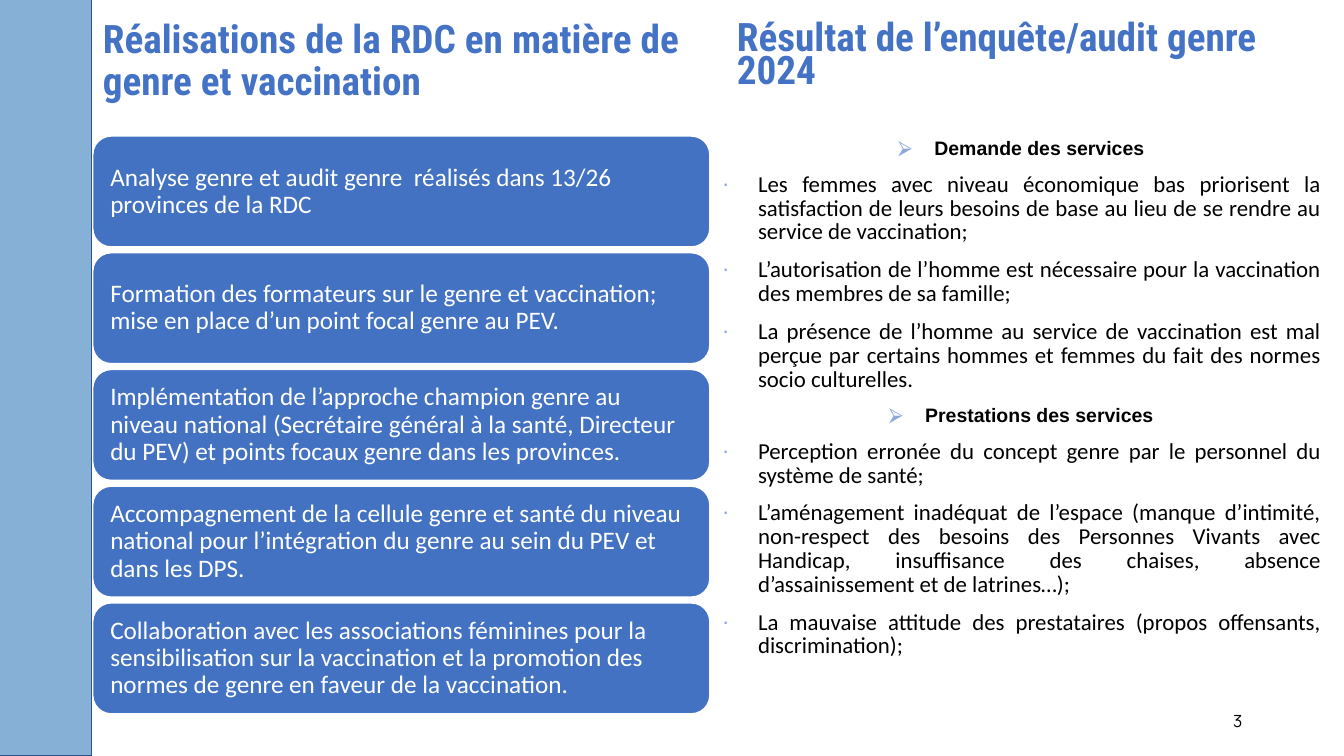
import pptx
import pptx.util
import pptx.dml.color
import pptx.enum.shapes
import pptx.enum.text
import lxml.etree
from dataclasses import dataclass
from pptx.oxml.ns import qn

ACHIEVEMENTS_HEADING = "Réalisations de la RDC en matière de genre et vaccination"
ACHIEVEMENTS = [
    "Analyse genre et audit genre  réalisés dans 13/26 provinces de la RDC",
    "Formation des formateurs sur le genre et vaccination; mise en place d’un point focal genre au PEV.",
    "Implémentation de l’approche champion genre au niveau national (Secrétaire général à la santé, Directeur du PEV) et points focaux genre dans les provinces.",
    "Accompagnement de la cellule genre et santé du niveau national pour l’intégration du genre au sein du PEV et dans les DPS.",
    "Collaboration avec les associations féminines pour la sensibilisation sur la vaccination et la promotion des normes de genre en faveur de la vaccination.",
]
SURVEY_HEADING = "Résultat de l’enquête/audit genre 2024"
SURVEY = {
    "Demande des services": [
        "Les femmes avec niveau économique bas priorisent la satisfaction de leurs besoins de base au lieu de se rendre au service de vaccination;",
        "L’autorisation de l’homme est nécessaire pour la vaccination des membres de sa famille;",
        "La présence de l’homme au service de vaccination est mal perçue par certains hommes et femmes du fait des normes socio culturelles.",
    ],
    "Prestations des services": [
        "Perception erronée du concept genre par le personnel du système de santé;",
        "L’aménagement inadéquat de l’espace (manque d’intimité, non-respect des besoins des Personnes Vivants avec Handicap, insuffisance des chaises, absence d’assainissement et de latrines…);",
        "La mauvaise attitude des prestataires (propos offensants, discrimination);",
    ],
}
PAGE_NUMBER = "3"


@dataclass(frozen=True)
class Theme:
    heading: str = "4472C4"
    card: str = "4372C3"
    band: str = "86B0D6"
    band_edge: str = "31538F"
    bullet: str = "8DA9DB"
    white: str = "FFFFFF"
    black: str = "000000"
    heading_font: str = "Roboto Condensed"
    body_font: str = "Calibri"
    topic_font: str = "Arial"
    number_font: str = "Manrope"
    heading_size: float = 28
    card_size: float = 18
    topic_size: float = 13.9
    finding_size: float = 16.3
    number_size: float = 12


THEME = Theme()
Inches = pptx.util.Inches
ALIGN = pptx.enum.text.PP_ALIGN
ANCHOR = pptx.enum.text.MSO_ANCHOR
SHAPE = pptx.enum.shapes.MSO_SHAPE


def rgb(code):
    return pptx.dml.color.RGBColor.from_string(code)


def add_bullet(paragraph, mark, hanging):
    properties = paragraph._p.get_or_add_pPr()
    properties.set("marL", str(Inches(0.38)))
    properties.set("indent", str(-Inches(hanging)))
    colour = lxml.etree.SubElement(properties, qn("a:buClr"))
    lxml.etree.SubElement(colour, qn("a:srgbClr")).set("val", THEME.bullet)
    lxml.etree.SubElement(properties, qn("a:buFont")).set("typeface", THEME.topic_font)
    lxml.etree.SubElement(properties, qn("a:buChar")).set("char", mark)


def write(paragraph, text, *, font, size, color, bold=False, align=ALIGN.LEFT,
          spacing=1.0, before=0, bullet=None, hanging=0.35):
    paragraph.alignment = align
    paragraph.line_spacing = spacing
    paragraph.space_before = pptx.util.Pt(before)
    if bullet:
        add_bullet(paragraph, bullet, hanging)
    run = paragraph.add_run()
    run.text = text
    run.font.name = font
    run.font.size = pptx.util.Pt(size)
    run.font.bold = bold
    run.font.color.rgb = rgb(color)


def prepare_frame(holder, anchor=ANCHOR.MIDDLE, side=0.1, edge=0.05):
    frame = holder.text_frame
    frame.word_wrap = True
    frame.auto_size = pptx.enum.text.MSO_AUTO_SIZE.NONE
    frame.vertical_anchor = anchor
    frame.margin_left = frame.margin_right = Inches(side)
    frame.margin_top = frame.margin_bottom = Inches(edge)
    return frame


def add_panel(slide, preset, box, fill, line):
    panel = slide.shapes.add_shape(preset, *map(Inches, box))
    panel.shadow.inherit = False
    panel.fill.solid()
    panel.fill.fore_color.rgb = rgb(fill)
    panel.line.color.rgb = rgb(line)
    panel.line.width = pptx.util.Pt(1)
    return panel


def add_text_area(slide, box, anchor=ANCHOR.MIDDLE):
    return prepare_frame(slide.shapes.add_textbox(*map(Inches, box)), anchor)


def add_achievements(slide):
    left, top, width, height, pitch = 0.92, 1.35, 6.12, 1.1, 1.158
    for index, achievement in enumerate(ACHIEVEMENTS):
        card = add_panel(slide, SHAPE.ROUNDED_RECTANGLE,
                         (left, top + index * pitch, width, height), THEME.card, THEME.white)
        write(prepare_frame(card, side=0.12, edge=0.12).paragraphs[0], achievement,
              font=THEME.body_font, size=THEME.card_size, color=THEME.white, spacing=0.9)


def add_survey(slide):
    findings_area = add_text_area(slide, (7.04, 1.33, 6.16, 6.26), ANCHOR.TOP)
    for index, (topic, findings) in enumerate(SURVEY.items()):
        heading = findings_area.add_paragraph() if index else findings_area.paragraphs[0]
        write(heading, topic, font=THEME.topic_font, size=THEME.topic_size, color=THEME.black,
              bold=True, align=ALIGN.CENTER, spacing=0.87, before=10 if index else 0,
              bullet="⮚", hanging=0.36)
        for finding in findings:
            write(findings_area.add_paragraph(), finding, font=THEME.body_font,
                  size=THEME.finding_size, color=THEME.black, align=ALIGN.JUSTIFY,
                  spacing=0.87, before=10, bullet="∙")


def main():
    deck = pptx.Presentation()
    deck.slide_width, deck.slide_height = Inches(13.33), Inches(7.5)
    slide = deck.slides.add_slide(deck.slide_layouts[5])
    heading_format = dict(font=THEME.heading_font, size=THEME.heading_size,
                          color=THEME.heading, bold=True)

    add_panel(slide, SHAPE.RECTANGLE, (-0.05, -0.02, 0.96, 7.52), THEME.band, THEME.band_edge)
    title = slide.shapes.title
    title.left, title.top, title.width, title.height = map(Inches, (0.92, 0, 6.12, 1.23))
    write(prepare_frame(title).paragraphs[0], ACHIEVEMENTS_HEADING, spacing=0.9, **heading_format)
    add_achievements(slide)

    write(add_text_area(slide, (9.42, 6.95, 3, 0.4)).paragraphs[0], PAGE_NUMBER,
          font=THEME.number_font, size=THEME.number_size, color=THEME.black, align=ALIGN.RIGHT)
    write(add_text_area(slide, (7.21, 0.16, 6.12, 0.83)).paragraphs[0], SURVEY_HEADING,
          spacing=0.7, **heading_format)
    add_survey(slide)
    deck.save("out.pptx")


if __name__ == "__main__":
    main()
